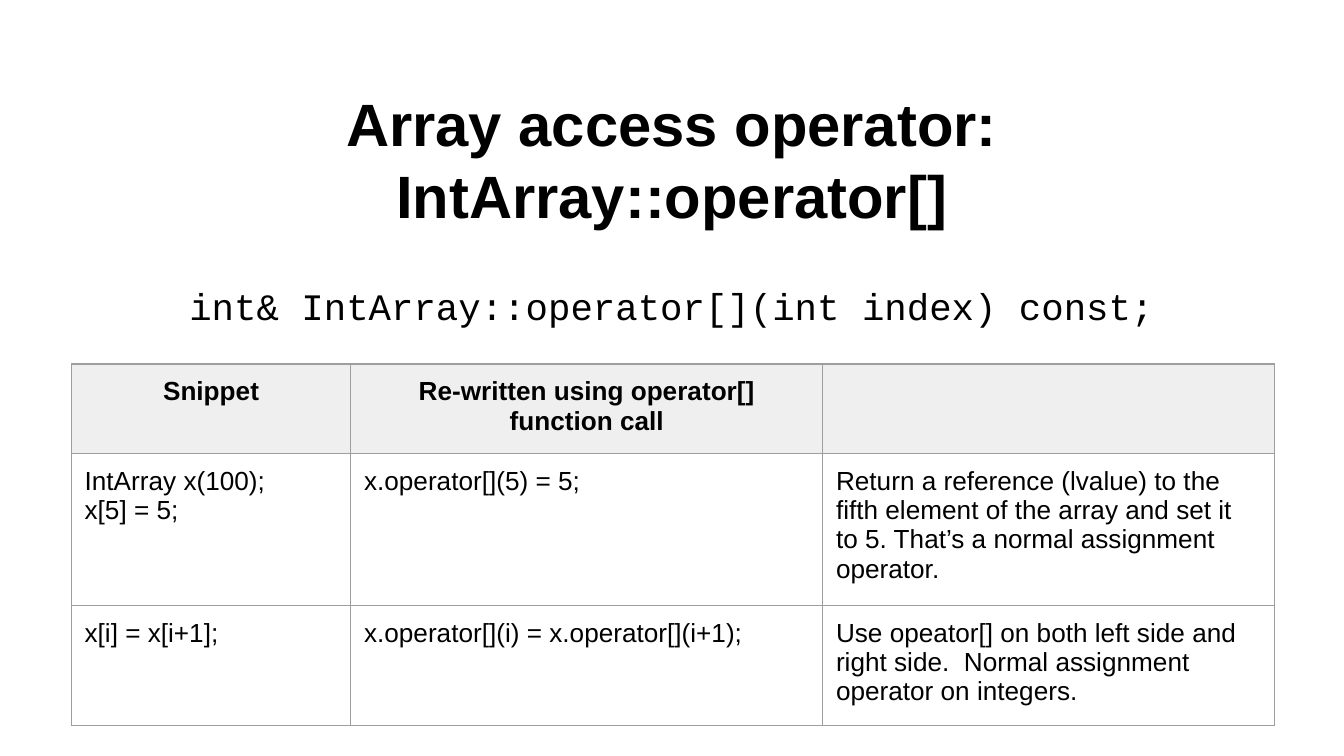
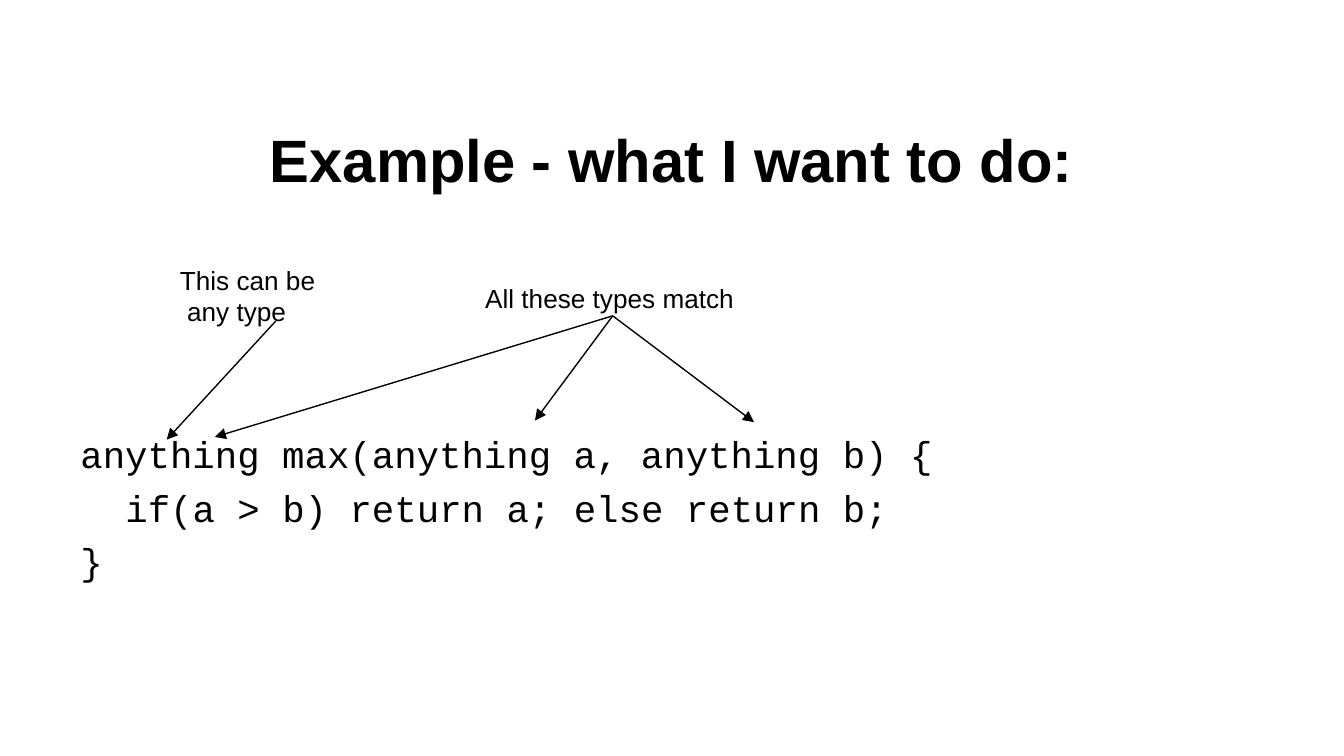
from lxml import etree
from pptx import Presentation
from pptx.dml.color import RGBColor
from pptx.enum.shapes import MSO_CONNECTOR
from pptx.enum.text import MSO_ANCHOR, PP_ALIGN
from pptx.oxml.ns import qn
from pptx.util import Cm, Pt

LEFT, CENTER = PP_ALIGN.LEFT, PP_ALIGN.CENTER
TOP, MIDDLE = MSO_ANCHOR.TOP, MSO_ANCHOR.MIDDLE
STRAIGHT = MSO_CONNECTOR.STRAIGHT


class Theme:
    ink = RGBColor(0, 0, 0)
    header_fill = RGBColor(0xEF, 0xEF, 0xEF)
    grid = "9E9E9E"
    sans = "Arial"
    mono = "Courier New"
    title_size = Pt(32)
    code_size = Pt(20)
    note_size = Pt(14)
    hairline = Pt(0.75)
    code_gap = Pt(4.8)
    inset = Cm(0.25)


def write(holder, lines, font=Theme.sans, size=Theme.note_size, bold=False,
          align=LEFT, anchor=TOP, before=None, indents=()):
    holder.margin_left = holder.margin_right = Theme.inset
    holder.margin_top = holder.margin_bottom = Theme.inset
    holder.vertical_anchor = anchor
    frame = getattr(holder, "text_frame", holder)
    frame.word_wrap = True
    for number, line in enumerate(lines):
        paragraph = frame.paragraphs[0] if number == 0 else frame.add_paragraph()
        paragraph.alignment = align
        if before is not None:
            paragraph.space_before = before
        if number < len(indents):
            paragraph._p.get_or_add_pPr().set("marL", str(indents[number]))
        run = paragraph.add_run()
        run.text = line
        run.font.name = font
        run.font.size = size
        run.font.bold = bold
        run.font.color.rgb = Theme.ink


def text_area(slide, left, top, width, height):
    return slide.shapes.add_textbox(Cm(left), Cm(top), Cm(width), Cm(height)).text_frame


deck = Presentation()
deck.slide_width, deck.slide_height = Cm(25.4), Cm(14.29)
blank = deck.slide_layouts[6]

titles = ["Array access operator: IntArray::operator[]", "Example - what I want to do:"]
slides = []
for title in titles:
    slide = deck.slides.add_slide(blank)
    write(text_area(slide, 1.27, 1.88, 22.86, 2.24), [title],
          size=Theme.title_size, bold=True, align=CENTER, anchor=MIDDLE)
    slides.append(slide)
access_slide, example_slide = slides

write(text_area(access_slide, 1.27, 5.1, 22.86, 1.8),
      ["int& IntArray::operator[](int index) const;"],
      font=Theme.mono, size=Theme.code_size, align=CENTER, before=Theme.code_gap)

snippet_rows = [
    [["Snippet"], ["Re-written using operator[] function call"], []],
    [["IntArray x(100);", "x[5] = 5;"],
     ["x.operator[](5) = 5;"],
     ["Return a reference (lvalue) to the fifth element of the array and set it to 5. "
      "That’s a normal assignment operator."]],
    [["x[i] = x[i+1];"],
     ["x.operator[](i) = x.operator[](i+1);"],
     ["Use opeator[] on both left side and right side.  Normal assignment operator on integers."]],
]
column_widths = [5.28, 8.92, 8.53]
row_height = 1.09
snippets = access_slide.shapes.add_table(
    len(snippet_rows), len(column_widths), Cm(1.35), Cm(6.88),
    Cm(sum(column_widths)), Cm(row_height * len(snippet_rows))).table
snippets.first_row = snippets.horz_banding = False
for column, width in zip(snippets.columns, column_widths):
    column.width = Cm(width)
for row_number, row in enumerate(snippet_rows):
    snippets.rows[row_number].height = Cm(row_height)
    is_header = row_number == 0
    for column_number, lines in enumerate(row):
        cell = snippets.cell(row_number, column_number)
        write(cell, lines, bold=is_header, align=CENTER if is_header else LEFT)
        properties = cell._tc.get_or_add_tcPr()
        for side in ("a:lnL", "a:lnR", "a:lnT", "a:lnB"):
            border = etree.SubElement(properties, qn(side), w=str(Theme.hairline))
            stroke = etree.SubElement(border, qn("a:solidFill"))
            etree.SubElement(stroke, qn("a:srgbClr"), val=Theme.grid)
        if is_header:
            cell.fill.solid()
            cell.fill.fore_color.rgb = Theme.header_fill
        else:
            cell.fill.background()

write(text_area(example_slide, 1.27, 7.9, 22.86, 3.96),
      ["anything max(anything a, anything b) {", "if(a > b) return a; else return b;", "}"],
      font=Theme.mono, size=Theme.code_size, before=Theme.code_gap, indents=(0, Cm(0.85), 0))
write(text_area(example_slide, 3.15, 4.75, 3.91, 1.55), ["This can be", " any type"])
write(text_area(example_slide, 8.92, 5.08, 5.33, 0.89), ["All these types match"])

any_type, matching_types = (5.21, 6.07), (11.58, 5.97)
arrows = [
    (any_type, (3.15, 8.31)),
    (matching_types, (4.06, 8.26)),
    (matching_types, (10.11, 7.95)),
    (matching_types, (14.25, 7.98)),
]
for start, end in arrows:
    arrow = example_slide.shapes.add_connector(STRAIGHT, *map(Cm, start + end))
    arrow.line.color.rgb = Theme.ink
    arrow.line.width = Theme.hairline
    etree.SubElement(arrow.line._get_or_add_ln(), qn("a:tailEnd"), type="triangle")
    etree.SubElement(arrow._element.spPr, qn("a:effectLst"))

deck.save("out.pptx")
